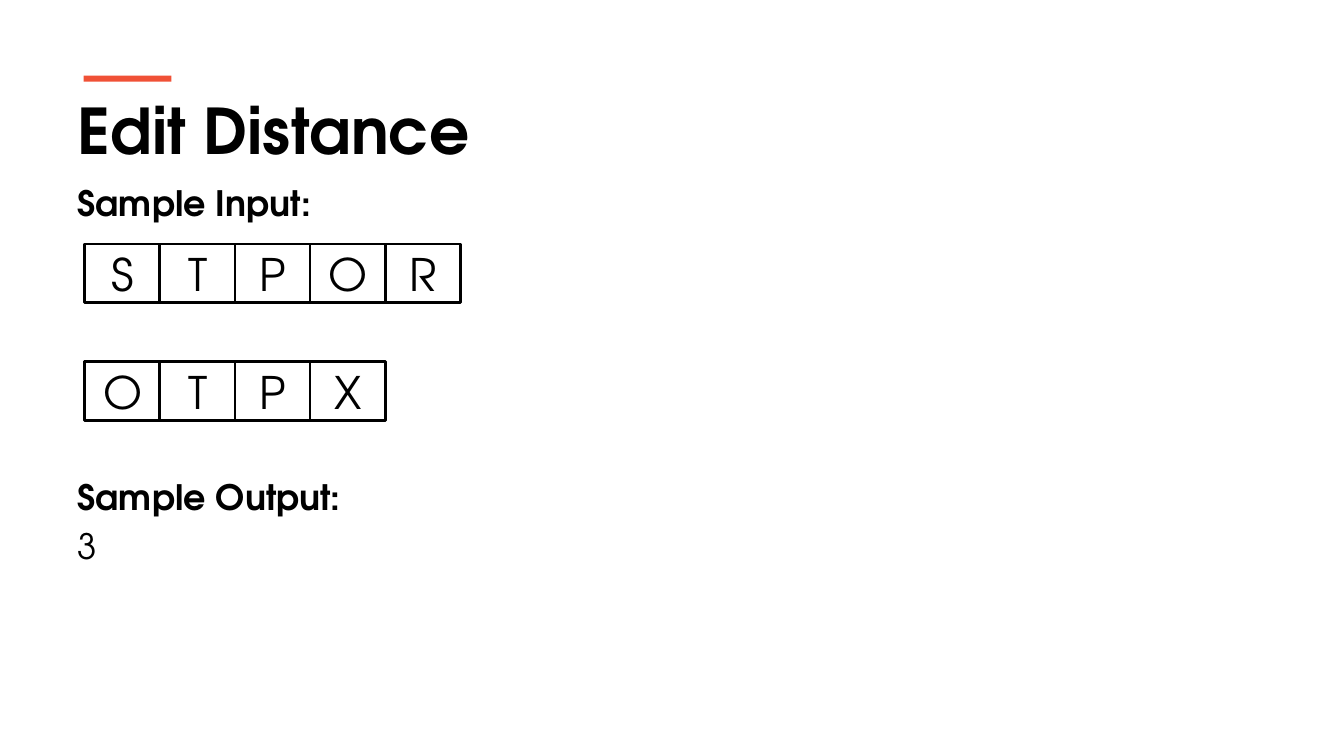
from lxml import etree
from pptx import Presentation
from pptx.dml.color import RGBColor
from pptx.enum.shapes import MSO_SHAPE
from pptx.enum.text import MSO_ANCHOR, MSO_AUTO_SIZE, PP_ALIGN
from pptx.oxml.ns import qn
from pptx.util import Inches, Pt

BLACK = RGBColor(0x00, 0x00, 0x00)
WHITE = RGBColor(0xFF, 0xFF, 0xFF)
ORANGE = RGBColor(0xF0, 0x51, 0x36)
FONT = "TeX Gyre Adventor"
CELL_WIDTH, CELL_HEIGHT, CELL_PITCH = 0.75, 0.58, 0.745


def place(shape, left, top, width, height):
    """Move a placeholder to the given box in inches."""
    shape.left, shape.top = Inches(left), Inches(top)
    shape.width, shape.height = Inches(width), Inches(height)
    shape.text_frame.word_wrap = True
    shape.text_frame.auto_size = MSO_AUTO_SIZE.NONE
    shape.text_frame.vertical_anchor = MSO_ANCHOR.TOP


def style(paragraph, size, bold, alignment):
    """Format a paragraph and its runs."""
    paragraph.alignment = alignment
    for run in paragraph.runs:
        run.font.name = FONT
        run.font.size = Pt(size)
        run.font.bold = bold
        run.font.color.rgb = BLACK


def add_box(slide, left, top, width, height, fill):
    """Add a flat filled rectangle without an outline."""
    shape = slide.shapes.add_shape(
        MSO_SHAPE.RECTANGLE, Inches(left), Inches(top), Inches(width), Inches(height))
    shape.shadow.inherit = False
    shape.fill.solid()
    shape.fill.fore_color.rgb = fill
    shape.line.fill.background()
    return shape


def add_title(slide, text, left, top, width, height):
    """Fill the title placeholder and set the accent bar above it."""
    title = slide.shapes.title
    place(title, left, top, width, height)
    title.text_frame.text = text
    style(title.text_frame.paragraphs[0], 45, True, PP_ALIGN.LEFT)
    add_box(slide, left + 0.16, top - 0.11, 0.87, 0.06, ORANGE)


def add_body(slide, lines, left, top, width, height):
    """Fill the body placeholder with (text, bold, space before) lines."""
    body = slide.placeholders[1]
    place(body, left, top, width, height)
    body.text_frame.text = "\n".join(text for text, _, _ in lines)
    for paragraph, (_, bold, space) in zip(body.text_frame.paragraphs, lines):
        properties = paragraph._p.get_or_add_pPr()
        properties.set("marL", "0")
        properties.set("indent", "0")
        etree.SubElement(properties, qn("a:buNone"))
        paragraph.space_before = Pt(space)
        style(paragraph, 25, bold, PP_ALIGN.LEFT)


def add_word(slide, word, left, top):
    """Draw a word as a row of single-letter cells."""
    for index, letter in enumerate(word):
        cell = add_box(slide, left + index * CELL_PITCH, top, CELL_WIDTH, CELL_HEIGHT, WHITE)
        cell.line.color.rgb = BLACK
        cell.line.width = Pt(2)
        cell.text_frame.text = letter
        cell.text_frame.vertical_anchor = MSO_ANCHOR.MIDDLE
        style(cell.text_frame.paragraphs[0], 32, False, PP_ALIGN.CENTER)


def main():
    """Build and save the slide."""
    presentation = Presentation()
    presentation.slide_width = Inches(13.33)
    presentation.slide_height = Inches(7.5)
    slide = presentation.slides.add_slide(presentation.slide_layouts[1])
    add_title(slide, "Edit Distance", 0.67, 0.86, 12.18, 0.86)
    lines = [("Sample Input:", True, 0), ("Sample Output:", True, 180), ("3", False, 5)]
    add_body(slide, lines, 0.67, 1.75, 12, 4.95)
    add_word(slide, "STPOR", 0.84, 2.42)
    add_word(slide, "OTPX", 0.84, 3.59)
    presentation.save("out.pptx")


if __name__ == "__main__":
    main()
